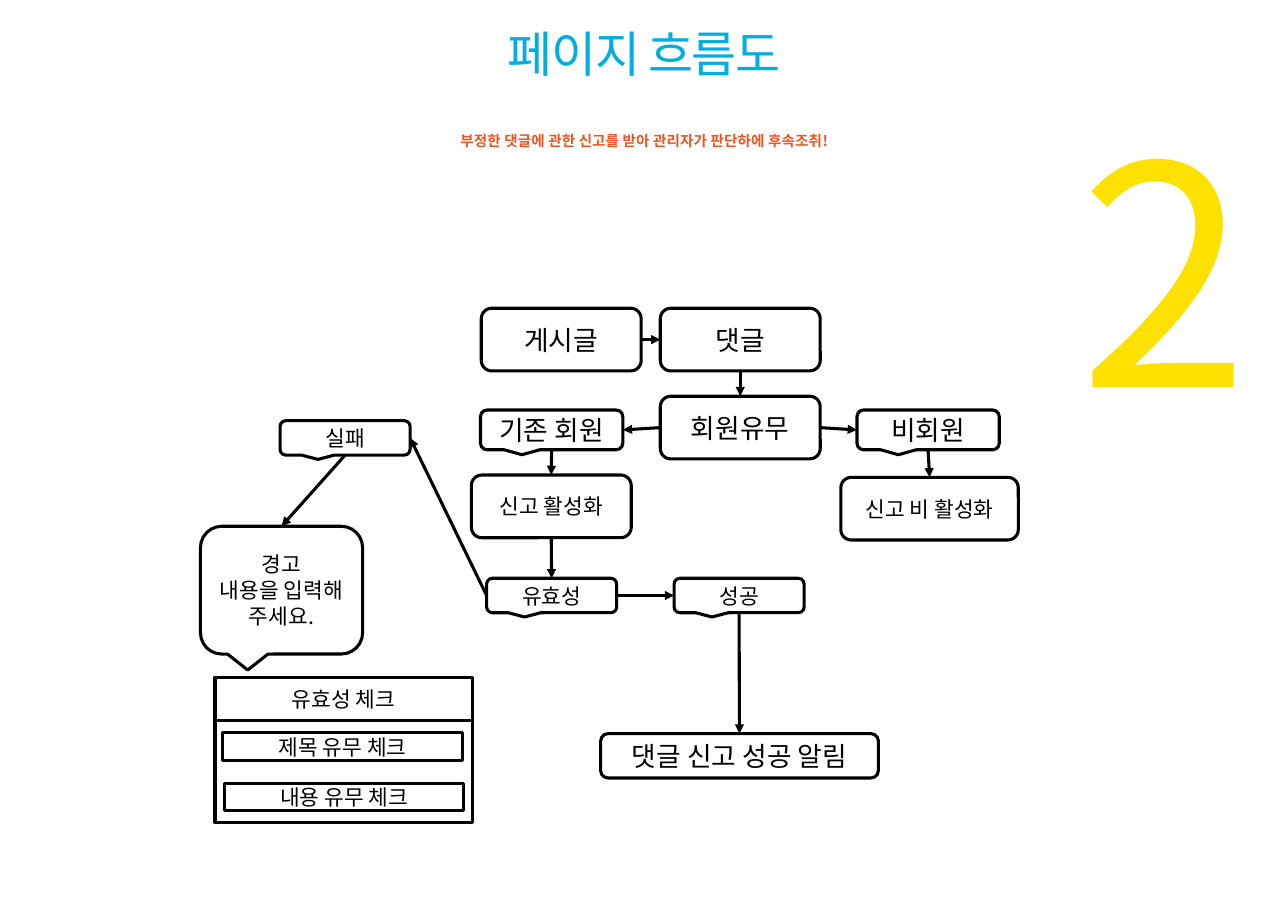
from lxml.etree import SubElement
from pptx import Presentation
from pptx.dml.color import RGBColor
from pptx.enum.shapes import MSO_CONNECTOR, MSO_SHAPE
from pptx.enum.text import MSO_ANCHOR, PP_ALIGN
from pptx.oxml.ns import qn
from pptx.util import Pt

FONT = "Noto Sans CJK KR"
COLORS = {
    "black": "000000",
    "white": "FFFFFF",
    "blue": "00AEE0",
    "orange": "EA5521",
    "yellow": "FFE100",
}
LINE_WIDTH = 2
LARGE, SMALL = 17.5, 14
TOP, LEFT, BOTTOM, RIGHT = range(4)  # connection sites of a box

STEP = MSO_SHAPE.ROUNDED_RECTANGLE
CALLOUT = MSO_SHAPE.ROUNDED_RECTANGULAR_CALLOUT
PLAIN = MSO_SHAPE.RECTANGLE

# text, shape, left, top, width, height, text size
BOXES = [
    ("게시글", STEP, 314.5, 201.5, 104.5, 41, LARGE),
    ("댓글", STEP, 431.5, 201.5, 104.5, 41, LARGE),
    ("회원유무", STEP, 431.5, 259, 104.5, 41, LARGE),
    ("기존 회원", CALLOUT, 314, 268, 93, 26, LARGE),
    ("비회원", CALLOUT, 560, 268, 93, 26, LARGE),
    ("신고 활성화", STEP, 308, 310.5, 104.5, 41, SMALL),
    ("신고 비 활성화", STEP, 549.5, 312, 116, 41, SMALL),
    ("유효성", CALLOUT, 318, 378, 85, 22.5, SMALL),
    ("실패", CALLOUT, 183, 275, 85, 22.5, SMALL),
    ("성공", CALLOUT, 440.5, 378, 85, 22.5, SMALL),
    ("경고\n내용을 입력해 주세요.", CALLOUT, 131, 344, 106, 83.5, SMALL),
    ("댓글 신고 성공 알림", STEP, 392.5, 479.5, 181.5, 29, LARGE),
    ("", PLAIN, 140.5, 443, 168, 94.5, SMALL),
    ("유효성 체크", PLAIN, 140.5, 443, 168, 28, SMALL),
    ("제목 유무 체크", PLAIN, 145.5, 479, 157, 18, SMALL),
    ("내용 유무 체크", PLAIN, 147, 512, 156, 18, SMALL),
]

ARROWS = [
    ("게시글", RIGHT, "댓글", LEFT),
    ("댓글", BOTTOM, "회원유무", TOP),
    ("회원유무", LEFT, "기존 회원", RIGHT),
    ("회원유무", RIGHT, "비회원", LEFT),
    ("기존 회원", BOTTOM, "신고 활성화", TOP),
    ("비회원", BOTTOM, "신고 비 활성화", TOP),
    ("신고 활성화", BOTTOM, "유효성", TOP),
    ("유효성", LEFT, "실패", RIGHT),
    ("유효성", RIGHT, "성공", LEFT),
    ("실패", BOTTOM, "경고\n내용을 입력해 주세요.", TOP),
    ("성공", BOTTOM, "댓글 신고 성공 알림", TOP),
]


def color(name):
    return RGBColor.from_string(COLORS[name])


def write(shape, text, size, color_name="black", bold=False, spacing=0,
          line_height=None, align=PP_ALIGN.CENTER):
    """Fill a shape with one paragraph per line of text; spacing is in points."""
    frame = shape.text_frame
    frame.word_wrap = True
    frame.text = text
    for paragraph in frame.paragraphs:
        paragraph.alignment = align
        if line_height:
            paragraph.line_spacing = Pt(line_height)
        for run in paragraph.runs:
            run.font.name = FONT
            run.font.size = Pt(size)
            run.font.bold = bold
            run.font.color.rgb = color(color_name)
            properties = run.font._element
            SubElement(properties, qn("a:ea")).set("typeface", FONT)
            if spacing:
                properties.set("spc", str(round(spacing * 100)))


def add_label(slide, text, left, top, width, height, **text_format):
    label = slide.shapes.add_textbox(Pt(left), Pt(top), Pt(width), Pt(height))
    frame = label.text_frame
    frame.margin_left = frame.margin_right = 0
    frame.margin_top = frame.margin_bottom = 0
    write(label, text, **text_format)


def add_box(slide, text, kind, left, top, width, height, size):
    box = slide.shapes.add_shape(kind, Pt(left), Pt(top), Pt(width), Pt(height))
    box.shadow.inherit = False
    box.fill.solid()
    box.fill.fore_color.rgb = color("white")
    box.line.color.rgb = color("black")
    box.line.width = Pt(LINE_WIDTH)
    box.text_frame.vertical_anchor = MSO_ANCHOR.MIDDLE
    if text:
        write(box, text, size)
    return box


def add_arrow(slide, start, start_site, end, end_site):
    arrow = slide.shapes.add_connector(MSO_CONNECTOR.STRAIGHT, 0, 0, 0, 0)
    arrow.begin_connect(start, start_site)
    arrow.end_connect(end, end_site)
    arrow.line.color.rgb = color("black")
    arrow.line.width = Pt(LINE_WIDTH)
    SubElement(arrow.line._get_or_add_ln(), qn("a:tailEnd")).set("type", "triangle")
    SubElement(arrow._element.spPr, qn("a:effectLst"))


def main():
    presentation = Presentation()
    presentation.slide_width = Pt(841.68)
    presentation.slide_height = Pt(595.44)
    slide = presentation.slides.add_slide(presentation.slide_layouts[6])

    add_label(slide, "페이지 흐름도", 159, 24, 524, 59, size=32,
              color_name="blue", spacing=-1, line_height=30)
    add_label(slide, "부정한 댓글에 관한 신고를 받아 관리자가 판단하에 후속조취!",
              159, 83.5, 524, 57, size=9.5, color_name="orange", bold=True,
              spacing=0.1, line_height=14)
    add_label(slide, "2", 705.5, 93.5, 105, 199, size=200, color_name="yellow",
              spacing=-1, line_height=200, align=PP_ALIGN.LEFT)

    boxes = {box[0]: add_box(slide, *box) for box in BOXES}
    for start, start_site, end, end_site in ARROWS:
        add_arrow(slide, boxes[start], start_site, boxes[end], end_site)

    presentation.save("out.pptx")


if __name__ == "__main__":
    main()
